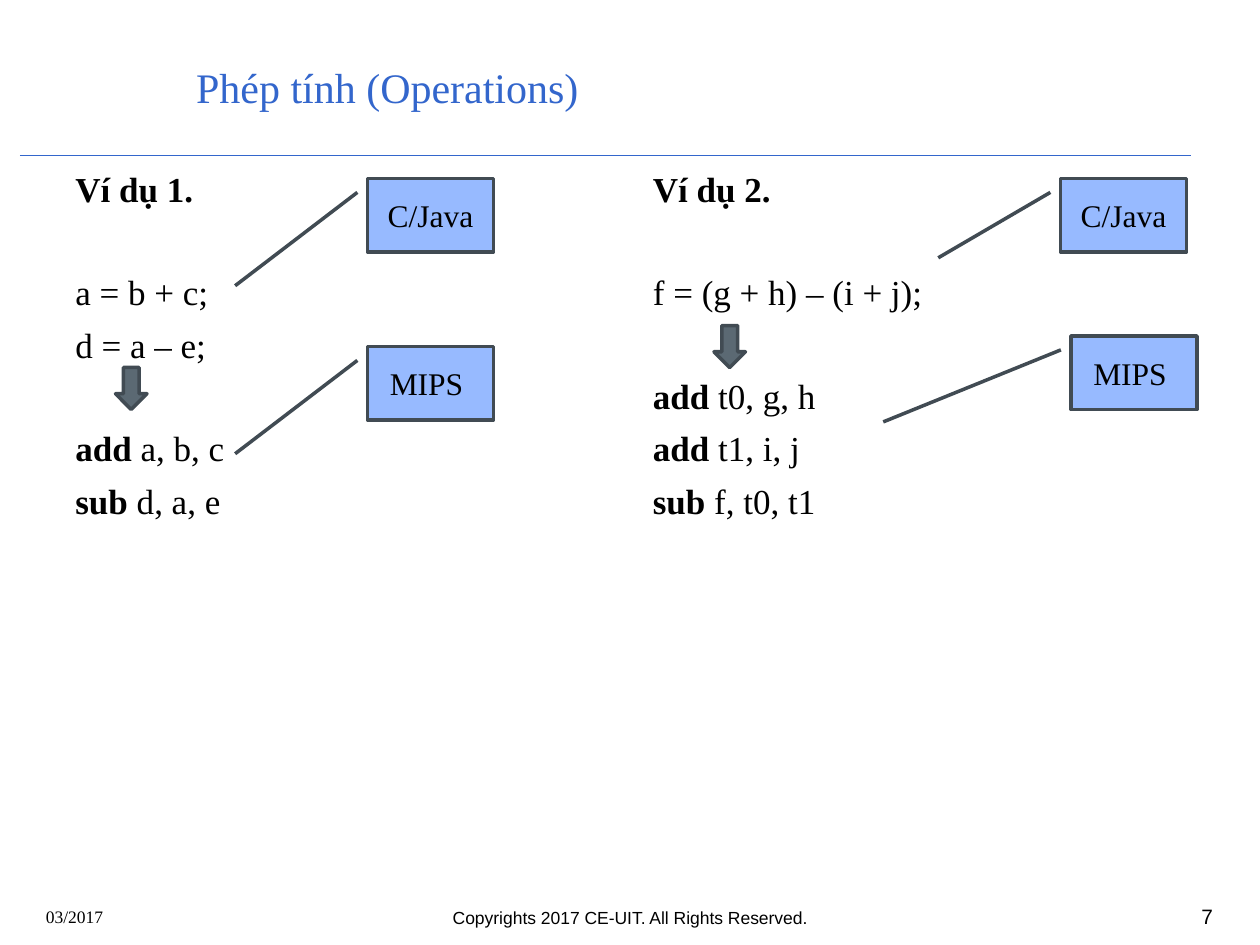
from dataclasses import dataclass

from lxml.etree import SubElement
from pptx import Presentation
from pptx.dml.color import RGBColor
from pptx.enum.shapes import MSO_CONNECTOR, MSO_SHAPE
from pptx.enum.text import MSO_ANCHOR, PP_ALIGN
from pptx.oxml.ns import qn
from pptx.util import Inches, Pt

SERIF, SANS = "Times New Roman", "Arial"
BLACK, BLUE, PALE, SLATE, EDGE = "000000", "3366CC", "97BAFF", "5B6973", "414B53"
LINE_GAP, BLANK_LINE = 6, 29


@dataclass
class Label:
    text: str
    col: float
    row: float
    tail: tuple[float, float]


@dataclass
class Line:
    code: str
    keyword: str = ""
    after_blank: bool = False


@dataclass
class Example:
    title: str
    col: float
    lines: list[Line]
    arrow: tuple[float, float]
    labels: list[Label]


@dataclass
class Caption:
    text: str
    box: tuple[float, float, float, float]
    size: float
    font: str = SERIF
    color: str = BLACK
    align: PP_ALIGN = PP_ALIGN.LEFT
    anchor: MSO_ANCHOR = MSO_ANCHOR.TOP
    spacing: float = 1.0


EXAMPLES = [
    Example(
        "Ví dụ 1.", 6,
        [Line("a = b + c;", after_blank=True), Line("d = a – e;"),
         Line(" a, b, c", "add", True), Line(" d, a, e", "sub")],
        (11, 35),
        [Label("C/Java", 35, 17, (1.46, -1.05)), Label("MIPS ", 35, 33, (1.46, -1.05))],
    ),
    Example(
        "Ví dụ 2.", 61,
        [Line("f = (g + h) – (i + j);", after_blank=True), Line(" t0, g, h", "add", True),
         Line(" t1, i, j", "add"), Line(" f, t0, t1", "sub")],
        (68, 31),
        [Label("C/Java", 101, 17, (1.08, -0.97)), Label("MIPS ", 102, 32, (1.17, -1.49))],
    ),
]

CAPTIONS = [
    Caption("Phép tính (Operations)", (17.5, 3.7, 96.5, 9.1), 24, color=BLUE,
            anchor=MSO_ANCHOR.MIDDLE),
    Caption("7", (93.7, 85.7, 23, 3.8), 11.9, SANS, align=PP_ALIGN.RIGHT, spacing=0.9),
    Caption("03/2017", (3.2, 85.7, 28, 3.8), 10),
    Caption("Copyrights 2017 CE-UIT. All Rights Reserved.", (41, 85.8, 38, 4), 10, SANS,
            align=PP_ALIGN.CENTER),
]


def grid(*units: float) -> list[Inches]:
    return [Inches(u / 12) for u in units]


def rgb(color: str) -> RGBColor:
    return RGBColor.from_string(color)


def style(r, size: float, font: str = SERIF, color: str = BLACK, bold: bool = False) -> None:
    r.font.size, r.font.name, r.font.bold = Pt(size), font, bold
    r.font.color.rgb = rgb(color)


def draw_rule(s) -> None:
    sp = s.shapes.add_connector(MSO_CONNECTOR.STRAIGHT, *grid(1.9, 14.8, 113.4, 14.8))
    sp.line.color.rgb, sp.line.width = rgb(BLUE), Pt(0.75)
    SubElement(sp._element.spPr, qn("a:effectLst"))


def draw_caption(s, c: Caption) -> None:
    tf = s.shapes.add_textbox(*grid(*c.box)).text_frame
    tf.word_wrap, tf.vertical_anchor = True, c.anchor
    tf.text = c.text
    p = tf.paragraphs[0]
    p.alignment, p.line_spacing = c.align, c.spacing
    style(p.runs[0], c.size, c.font, c.color)


def draw_shape(s, kind: MSO_SHAPE, box: tuple[float, ...], fill: str):
    sp = s.shapes.add_shape(kind, *grid(*box))
    sp.shadow.inherit = False
    sp.fill.solid()
    sp.fill.fore_color.rgb = rgb(fill)
    sp.line.color.rgb, sp.line.width = rgb(EDGE), Pt(2)
    return sp


def draw_label(s, label: Label) -> None:
    sp = draw_shape(s, MSO_SHAPE.LINE_CALLOUT_1, (label.col, label.row, 12, 7), PALE)
    for i, value in enumerate((0.19, -0.08, *label.tail)):
        sp.adjustments[i] = value
    tf = sp.text_frame
    tf.word_wrap, tf.vertical_anchor = True, MSO_ANCHOR.MIDDLE
    tf.text = label.text
    p = tf.paragraphs[0]
    p.alignment = PP_ALIGN.CENTER
    style(p.runs[0], 18)


def draw_code(s, ex: Example) -> None:
    tf = s.shapes.add_textbox(*grid(ex.col, 15, 53, 65.4)).text_frame
    tf.word_wrap, tf.margin_top = True, Inches(0.08)
    tf.text = ex.title
    style(tf.paragraphs[0].runs[0], 20, bold=True)
    for line in ex.lines:
        p = tf.add_paragraph()
        p.space_before = Pt(LINE_GAP + BLANK_LINE * line.after_blank)
        for text, bold in ((line.keyword, True), (line.code, False)):
            if text:
                r = p.add_run()
                r.text = text
                style(r, 20, bold=bold)


def main() -> None:
    prs = Presentation()
    prs.slide_width, prs.slide_height = grid(120, 90)
    s = prs.slides.add_slide(prs.slide_layouts[6])
    draw_rule(s)
    for caption in CAPTIONS:
        draw_caption(s, caption)
    for ex in EXAMPLES:
        draw_code(s, ex)
        draw_shape(s, MSO_SHAPE.DOWN_ARROW, (*ex.arrow, 3, 4), SLATE)
        for label in ex.labels:
            draw_label(s, label)
    prs.save("out.pptx")


if __name__ == "__main__":
    main()
